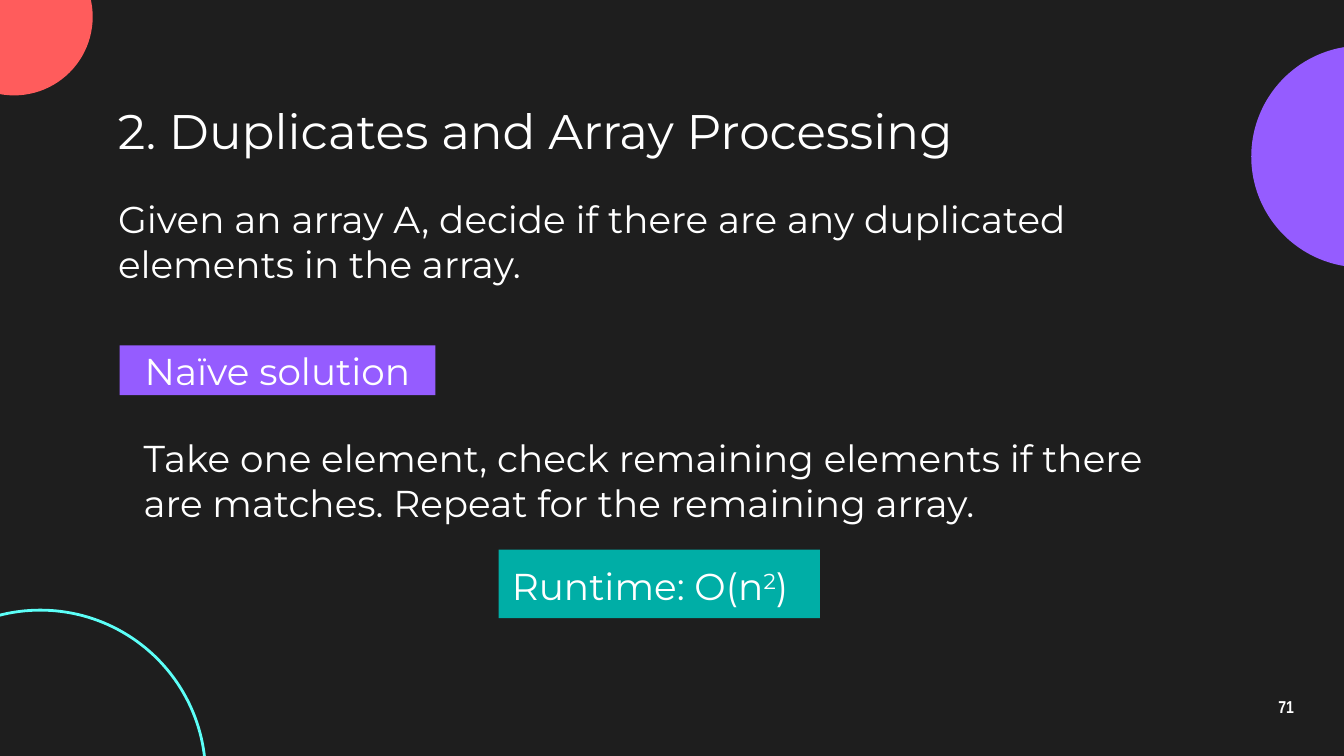
"""Build the slide on finding duplicates in an array."""
from pptx import Presentation
from pptx.dml.color import RGBColor
from pptx.enum.shapes import MSO_SHAPE as SHAPE
from pptx.enum.text import MSO_ANCHOR as ANCHOR, PP_ALIGN as ALIGN
from pptx.util import Inches, Pt

COLORS = {
    "background": "1E1E1E",
    "purple": "955CFF",
    "coral": "FF5C5C",
    "cyan": "5CFFF8",
    "teal": "00AEA6",
    "white": "FFFFFF",
}
FONT = "Montserrat"

CIRCLES = [
    {"at": (9.31, 0.34), "size": 1.65, "fill": "purple"},
    {"at": (-0.48, -0.46), "size": 1.17, "fill": "coral"},
    {"at": (-0.93, 4.54), "size": 2.46, "line": "cyan"},
]

TEXTS = [
    {"box": (9.27, 5.1, 0.6, 0.34), "runs": ["71"], "size": 9.2, "font": "Arial Narrow",
     "bold": True, "align": ALIGN.CENTER, "anchor": ANCHOR.MIDDLE, "spacing": 0.9},
    {"box": (0.78, 0.71, 8.44, 0.51), "runs": ["2. Duplicates and Array Processing"],
     "size": 26, "anchor": ANCHOR.MIDDLE},
    {"box": (0.78, 1.36, 8.48, 0.51),
     "runs": ["Given an array A, decide if there are any duplicated elements in the array."]},
    {"box": (0.89, 2.57, 2.35, 0.37), "runs": ["Naïve solution"], "fill": "purple",
     "align": ALIGN.CENTER, "anchor": ANCHOR.MIDDLE, "inset": 0.05},
    {"box": (0.97, 3.14, 8.11, 0.51),
     "runs": ["Take one element, check remaining elements if there are matches. "
              "Repeat for the remaining array."]},
    {"box": (3.71, 4.09, 2.39, 0.51), "runs": ["Runtime: O(n", ("2", 30), ")"], "fill": "teal"},
]


def rgb(name):
    return RGBColor.from_string(COLORS[name])


def add_shape(slide, kind, box, fill=None, line=None):
    sp = slide.shapes.add_shape(kind, *map(Inches, box))
    sp.shadow.inherit = False
    if fill:
        sp.fill.solid()
        sp.fill.fore_color.rgb = rgb(fill)
    else:
        sp.fill.background()
    if line:
        sp.line.color.rgb = rgb(line)
        sp.line.width = Pt(1.5)
    else:
        sp.line.fill.background()
    return sp


def add_text(slide, item):
    if "fill" in item:
        sp = add_shape(slide, SHAPE.RECTANGLE, item["box"], item["fill"])
    else:
        sp = slide.shapes.add_textbox(*map(Inches, item["box"]))
    tf = sp.text_frame
    tf.word_wrap = True
    tf.vertical_anchor = item.get("anchor", ANCHOR.TOP)
    tf.margin_left = tf.margin_right = Inches(0.1)
    tf.margin_top = tf.margin_bottom = Inches(item.get("inset", 0.1))
    p = tf.paragraphs[0]
    p.alignment = item.get("align", ALIGN.LEFT)
    p.line_spacing = item.get("spacing", 1.0)
    for run in item["runs"]:
        text, raised = run if isinstance(run, tuple) else (run, 0)
        r = p.add_run()
        r.text = text
        r.font.name = item.get("font", FONT)
        r.font.size = Pt(item.get("size", 20))
        r.font.bold = item.get("bold", False)
        r.font.color.rgb = rgb("white")
        if raised:
            r._r.get_or_add_rPr().set("baseline", str(raised * 1000))


def main():
    prs = Presentation()
    prs.slide_width = Inches(10)
    prs.slide_height = Inches(10 * 9 / 16)
    slide = prs.slides.add_slide(prs.slide_layouts[6])
    slide.background.fill.solid()
    slide.background.fill.fore_color.rgb = rgb("background")
    for circle in CIRCLES:
        box = (*circle["at"], circle["size"], circle["size"])
        add_shape(slide, SHAPE.OVAL, box, circle.get("fill"), circle.get("line"))
    for item in TEXTS:
        add_text(slide, item)
    prs.save("out.pptx")


if __name__ == "__main__":
    main()
